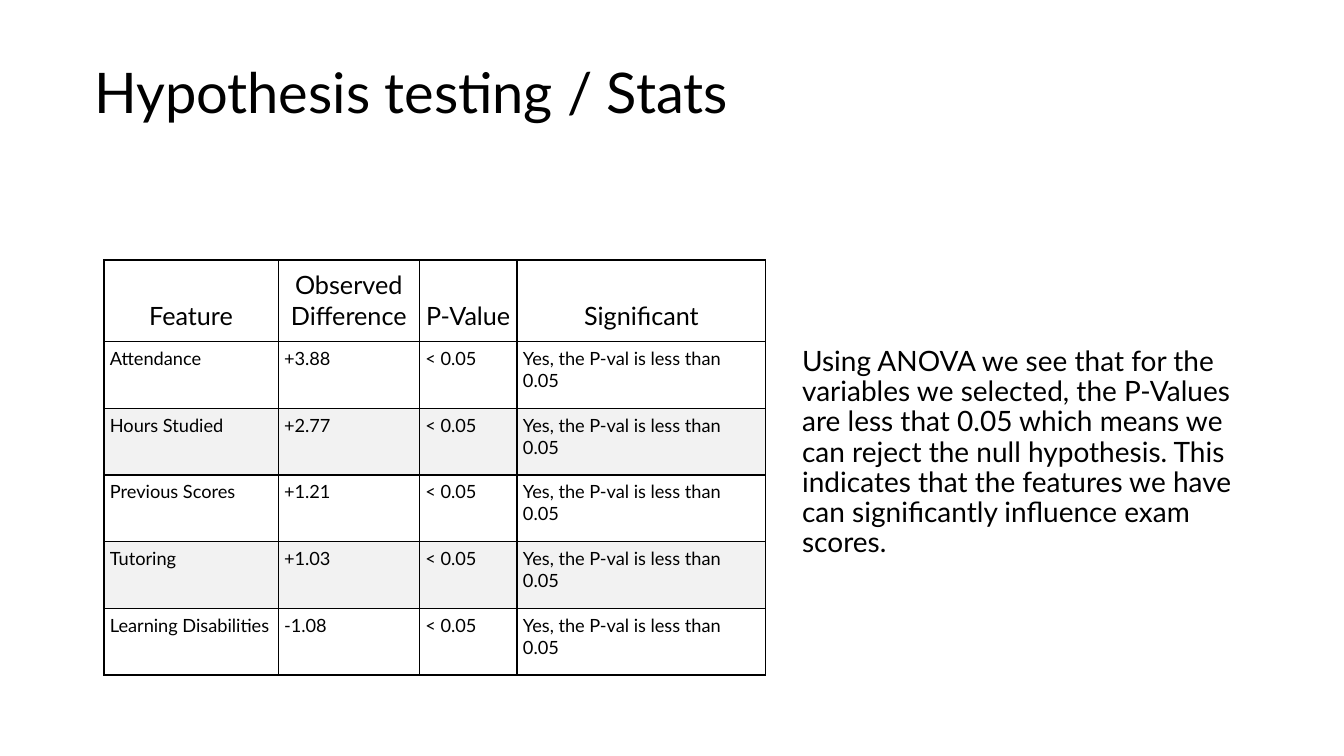
from lxml.etree import SubElement
from pptx import Presentation
from pptx.dml.color import RGBColor
from pptx.enum.shapes import MSO_SHAPE
from pptx.enum.text import MSO_ANCHOR, MSO_AUTO_SIZE, PP_ALIGN
from pptx.oxml.ns import qn
from pptx.util import Cm, Pt

FONT = "Lato"
BLACK = "000000"
WHITE = "FFFFFF"
STRIPE = "F2F2F2"
HEADINGS = ["Feature", "Observed Difference", "P-Value", "Significant"]
DIFFERENCES = {
    "Attendance": "+3.88",
    "Hours Studied": "+2.77",
    "Previous Scores": "+1.21",
    "Tutoring": "+1.03",
    "Learning Disabilities": "-1.08",
}
P_VALUE = "< 0.05"
VERDICT = "Yes, the P-val is less than 0.05"
COLUMN_WIDTHS = [4.39, 3.56, 2.46, 6.27]
HEADING_HEIGHT = 2.06
FEATURE_HEIGHT = 1.68
CONCLUSION = (
    "Using ANOVA we see that for the variables we selected, the P-Values "
    "are less that 0.05 which means we can reject the null hypothesis. "
    "This indicates that the features we have can significantly influence "
    "exam scores."
)


def color(hex_code):
    return RGBColor.from_string(hex_code)


def write(frame, words, size, align=PP_ALIGN.LEFT):
    frame.text = words
    paragraph = frame.paragraphs[0]
    paragraph.alignment = align
    font = paragraph.runs[0].font
    font.name = FONT
    font.size = Pt(size)
    font.color.rgb = color(BLACK)
    return paragraph


def fill_placeholder(holder, box, words, size):
    holder.left, holder.top, holder.width, holder.height = map(Cm, box)
    frame = holder.text_frame
    frame.auto_size = MSO_AUTO_SIZE.NONE
    frame.vertical_anchor = MSO_ANCHOR.MIDDLE
    paragraph = write(frame, words, size)
    paragraph.line_spacing = 0.9
    return paragraph


def add_title(slide):
    title = slide.shapes.title
    fill_placeholder(title, (2.12, 0.86, 29.7, 3.07),
                     "Hypothesis testing / Stats", 40)
    band = slide.shapes.add_shape(
        MSO_SHAPE.RECTANGLE, 0, 0, Cm(33.87), Cm(4.83))
    band.shadow.inherit = False
    band.fill.solid()
    band.fill.fore_color.rgb = color(WHITE)
    band.line.fill.background()
    title.element.addprevious(band.element)


def add_conclusion(slide):
    conclusion = slide.placeholders[1]
    paragraph = fill_placeholder(
        conclusion, (19.96, 6.55, 11.84, 10.85), CONCLUSION, 20)
    conclusion.text_frame.margin_bottom = Cm(1.25)
    paragraph.space_before = Pt(10)
    properties = paragraph._p.get_or_add_pPr()
    properties.set("marL", "0")
    properties.set("indent", "0")
    SubElement(properties, qn("a:buNone"))


def draw_borders(cell):
    properties = cell._tc.get_or_add_tcPr()
    for side in ("L", "R", "T", "B"):
        line = SubElement(properties, qn(f"a:ln{side}"), w=str(Pt(1)))
        solid = SubElement(line, qn("a:solidFill"))
        SubElement(solid, qn("a:srgbClr"), val=BLACK)


def format_cell(cell, words, row_number):
    heading = row_number == 0
    cell.margin_left = cell.margin_top = cell.margin_right = Cm(0.15)
    cell.margin_bottom = Cm(0.28)
    cell.vertical_anchor = MSO_ANCHOR.BOTTOM if heading else MSO_ANCHOR.TOP
    write(cell.text_frame, words, 18 if heading else 13,
          PP_ALIGN.CENTER if heading else PP_ALIGN.LEFT)
    draw_borders(cell)
    if row_number and row_number % 2 == 0:
        cell.fill.solid()
        cell.fill.fore_color.rgb = color(STRIPE)
    else:
        cell.fill.background()


def add_results(slide):
    rows = [HEADINGS] + [[feature, difference, P_VALUE, VERDICT]
                         for feature, difference in DIFFERENCES.items()]
    heights = [HEADING_HEIGHT] + [FEATURE_HEIGHT] * len(DIFFERENCES)
    results = slide.shapes.add_table(
        len(rows), len(HEADINGS), Cm(2.62), Cm(6.55),
        Cm(sum(COLUMN_WIDTHS)), Cm(sum(heights))).table
    results.first_row = False
    results.horz_banding = False
    for column, width in zip(results.columns, COLUMN_WIDTHS):
        column.width = Cm(width)
    for row_number, (row, height) in enumerate(zip(rows, heights)):
        results.rows[row_number].height = Cm(height)
        for column_number, words in enumerate(row):
            format_cell(results.cell(row_number, column_number),
                        words, row_number)


def main():
    deck = Presentation()
    deck.slide_width = Cm(33.87)
    deck.slide_height = Cm(19.05)
    slide = deck.slides.add_slide(deck.slide_layouts[1])
    add_title(slide)
    add_conclusion(slide)
    add_results(slide)
    deck.save("out.pptx")


if __name__ == "__main__":
    main()
